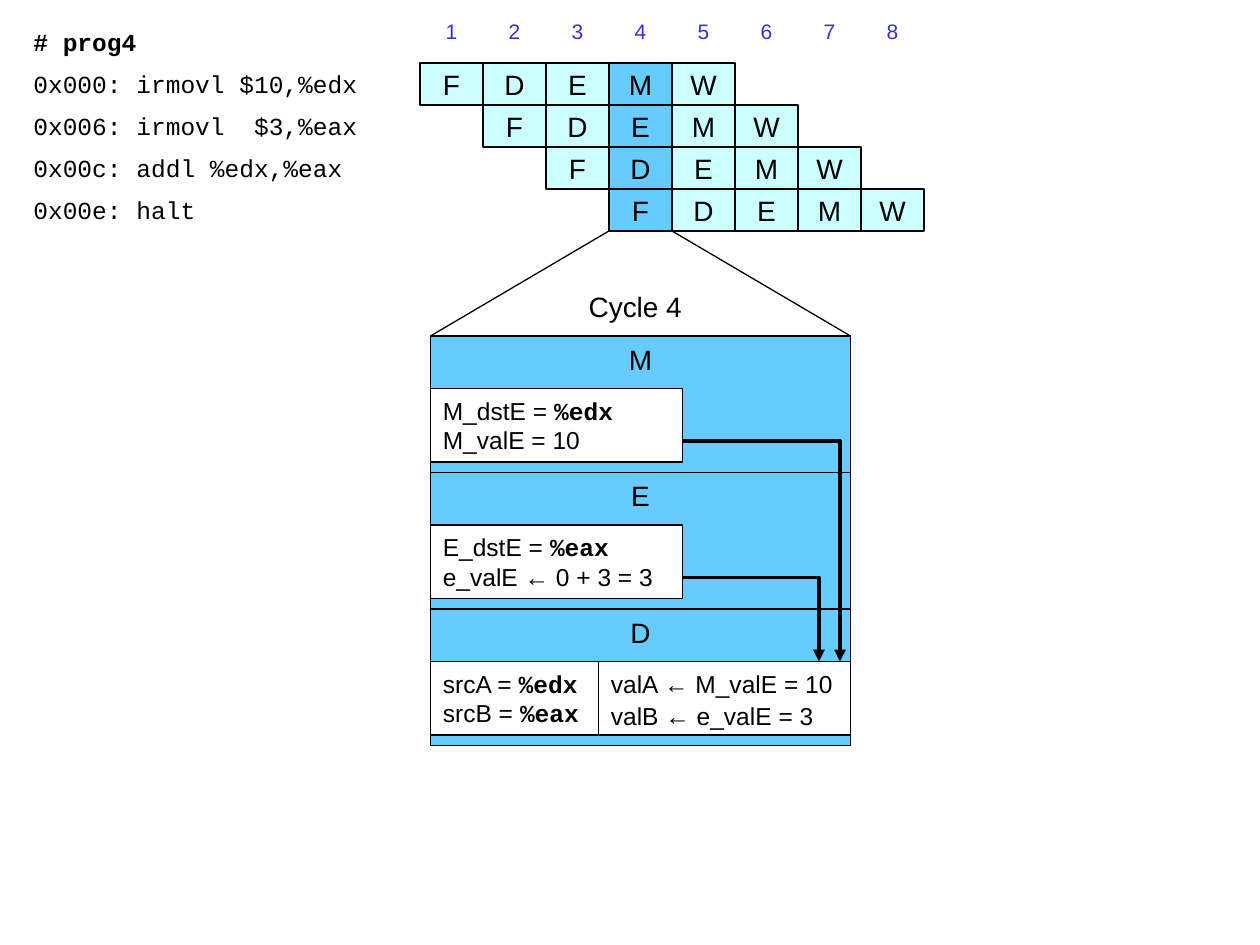
from lxml import etree
from pptx import Presentation
from pptx.dml.color import RGBColor
from pptx.enum.shapes import MSO_CONNECTOR, MSO_SHAPE
from pptx.enum.text import MSO_ANCHOR, PP_ALIGN
from pptx.oxml.ns import qn
from pptx.util import Inches, Pt

RECTANGLE = MSO_SHAPE.RECTANGLE
STRAIGHT = MSO_CONNECTOR.STRAIGHT
TOP, MIDDLE = MSO_ANCHOR.TOP, MSO_ANCHOR.MIDDLE
LEFT, CENTER = PP_ALIGN.LEFT, PP_ALIGN.CENTER

UNIT = Inches(1) // 12
COLUMN, ROW = 6, 4
STAGE_HEIGHT, PANEL_DROP, PANEL_HEIGHT, WIRE_DROP = 13, 5, 7, 10
SANS, MONO = "Arial", "Courier New"
BLACK, WHITE, INDIGO = "000000", "FFFFFF", "3333CC"
PALE, BRIGHT = "CCFFFF", "66CCFF"

PROGRAM = [
    "# prog4",
    "0x000: irmovl $10,%edx",
    "0x006: irmovl  $3,%eax",
    "0x00c: addl %edx,%eax",
    "0x00e: halt",
]
STAGES = "FDEMW"
CYCLES = 8
FOCUS_CYCLE = 4
INSTRUCTIONS = len(PROGRAM) - 1

MEMORY = [["M_dstE = ", "%edx"], ["M_valE = 10"]]
EXECUTE = [["E_dstE = ", "%eax"], ["e_valE ← 0 + 3 = 3"]]
SOURCES = [["srcA = ", "%edx"], ["srcB = ", "%eax"]]
VALUES = [["valA ← M_valE = 10"], ["valB ← e_valE = 3"]]


def color(value):
    """Turn a hex string into a colour."""
    return RGBColor.from_string(value)


def units(*lengths):
    """Turn grid units into slide lengths."""
    return [round(length * UNIT) for length in lengths]


def style(font, size, name=SANS, ink=BLACK, bold=False):
    """Set the look of a font."""
    font.size, font.name, font.bold = Pt(size), name, bold
    font.color.rgb = color(ink)


def add_box(page, area, fill, line_width=None):
    """Add a plain rectangle with an optional black outline."""
    box = page.shapes.add_shape(RECTANGLE, *units(*area))
    box.shadow.inherit = False
    box.fill.solid()
    box.fill.fore_color.rgb = color(fill)
    if line_width:
        box.line.color.rgb = color(BLACK)
        box.line.width = Pt(line_width)
    else:
        box.line.fill.background()
    return box


def write_line(box, text, size, align=CENTER, anchor=MIDDLE, **look):
    """Write one line of text in a box."""
    frame = box.text_frame
    frame.text = text
    frame.word_wrap = False
    frame.vertical_anchor = anchor
    para = frame.paragraphs[0]
    para.alignment = align
    style(para.runs[0].font, size, **look)


def add_panel(page, area, lines, spacing=1.0):
    """Add a white panel of signals with register names in bold mono."""
    frame = add_box(page, area, WHITE, 1).text_frame
    frame.word_wrap = False
    frame.vertical_anchor = MIDDLE
    for index, parts in enumerate(lines):
        para = frame.add_paragraph() if index else frame.paragraphs[0]
        para.alignment = LEFT
        para.line_spacing = spacing
        for part in parts:
            span = para.add_run()
            span.text = part
            register = part.startswith("%")
            style(span.font, 14, MONO if register else SANS, bold=register)


def add_program(page, left, top, width):
    """List the program, one instruction per row."""
    for index, text in enumerate(PROGRAM):
        box = add_box(page, (left, top + index * ROW, width, ROW), WHITE)
        write_line(box, text, 14, LEFT, name=MONO, bold=index == 0)


def add_cycle_numbers(page, left, top):
    """Number the clock cycles above the pipeline."""
    for index in range(CYCLES):
        box = add_box(page, (left + index * COLUMN, top, COLUMN, ROW), WHITE)
        write_line(box, str(index + 1), 12, ink=INDIGO)


def add_pipeline(page, left, top):
    """Draw the staggered stages and brighten the focus cycle."""
    for row in range(INSTRUCTIONS):
        for step, stage in enumerate(STAGES):
            column = row + step
            fill = BRIGHT if column + 1 == FOCUS_CYCLE else PALE
            area = (left + column * COLUMN, top + row * ROW, COLUMN, ROW)
            write_line(add_box(page, area, fill, 1), stage, 16)


def add_zoom(page, source, target, top, bottom):
    """Join the focus column to the detail box and caption the gap."""
    for start, end in zip(source, target):
        edge = page.shapes.add_connector(STRAIGHT, *units(start, top, end, bottom))
        edge.line.color.rgb = color(BLACK)
        edge.line.width = Pt(0.75)
        etree.SubElement(edge._element.spPr, qn("a:effectLst"))
    caption = page.shapes.add_textbox(*units(target[0] + 7, bottom - 5, 25, 4.4))
    write_line(caption, f"Cycle {FOCUS_CYCLE}", 16, anchor=TOP)
    caption.text_frame.word_wrap = True


def add_wire(page, start, end):
    """Draw a thick forwarding path that runs right, then down to an arrowhead."""
    builder = page.shapes.build_freeform(*start, scale=UNIT)
    builder.add_line_segments([(end[0], start[1]), end], close=False)
    wire = builder.convert_to_shape()
    wire.shadow.inherit = False
    wire.fill.background()
    wire.line.color.rgb = color(BLACK)
    wire.line.width = Pt(2.25)
    outline = wire.line._get_or_add_ln()
    etree.SubElement(outline, qn("a:tailEnd"), type="triangle")


def add_detail(page, left, top, width):
    """Stack the three stages of the focus cycle with their signals and wires."""
    tops = [top + index * STAGE_HEIGHT for index in range(3)]
    for stage, stage_top in zip("MED", tops):
        box = add_box(page, (left, stage_top, width, STAGE_HEIGHT), BRIGHT, 0.75)
        write_line(box, stage, 16, anchor=TOP)
    panels = [
        (0, 0, 24, MEMORY, 1.0),
        (1, 0, 24, EXECUTE, 1.0),
        (2, 16, 24, VALUES, 1.1),
        (2, 0, 16, SOURCES, 1.0),
    ]
    for stage, offset, span, lines, spacing in panels:
        area = (left + offset, tops[stage] + PANEL_DROP, span, PANEL_HEIGHT)
        add_panel(page, area, lines, spacing)
    for stage, inset in ((0, 1), (1, 3)):
        start = (left + 24, tops[stage] + WIRE_DROP)
        add_wire(page, start, (left + width - inset, tops[2] + PANEL_DROP))


def main():
    """Build the slide and save it."""
    deck = Presentation()
    deck.slide_width, deck.slide_height = Inches(10), Inches(7.5)
    page = deck.slides.add_slide(deck.slide_layouts[6])
    add_program(page, 2, 2, 34)
    add_cycle_numbers(page, 40, 1)
    add_pipeline(page, 40, 6)
    add_zoom(page, (58, 64), (41, 81), 22, 32)
    add_detail(page, 41, 32, 40)
    deck.save("out.pptx")


if __name__ == "__main__":
    main()
